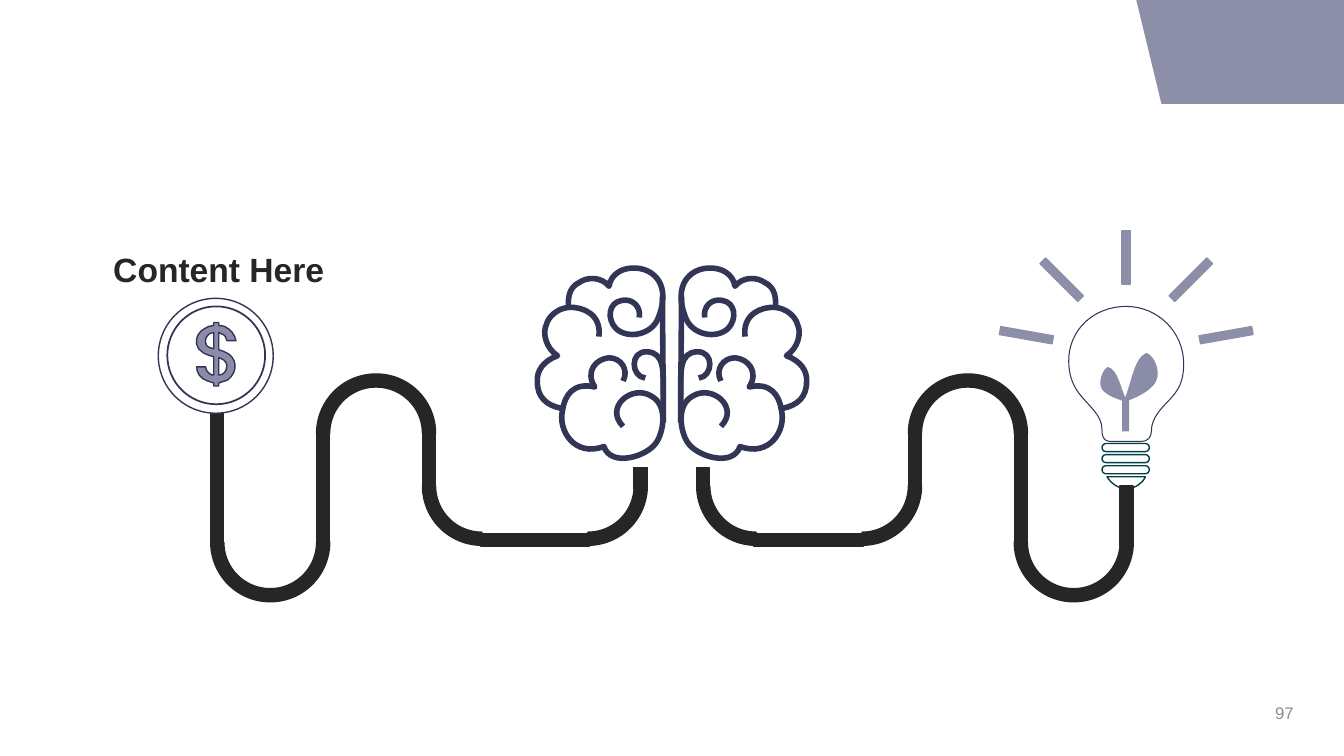
from dataclasses import dataclass

from lxml.etree import SubElement
from pptx import Presentation
from pptx.dml.color import RGBColor
from pptx.enum.shapes import MSO_CONNECTOR, MSO_SHAPE
from pptx.enum.text import MSO_ANCHOR, PP_ALIGN
from pptx.oxml.ns import qn
from pptx.util import Inches, Pt

NAVY, INK, TEAL, WHITE = "323556", "252625", "004149", "FFFFFF"
LAVENDER, RAY, LEAF, GRAY = "8D8EA8", "8D8EA7", "8B8DA8", "8E8E8E"
SLIDE_WIDTH = 13.33
BULB_AXIS = 11.17
CURVE_STEPS = 40
CABLE = 0.13
BEND = 1.18


@dataclass(frozen=True)
class Paint:
    fill: str | None = None
    line: str | None = None
    weight: float = 1


@dataclass(frozen=True)
class Box:
    left: float
    top: float
    width: float
    height: float

    def mirrored(self) -> "Box":
        return Box(SLIDE_WIDTH - self.left - self.width, self.top, self.width, self.height)


@dataclass(frozen=True)
class Bend:
    left: float
    top: float
    start: int
    end: int

    def mirrored(self) -> "Bend":
        return Bend(SLIDE_WIDTH - self.left - BEND, self.top,
                    (180 - self.end) % 360, (180 - self.start) % 360)


@dataclass(frozen=True)
class Label:
    text: str
    box: Box
    size: int
    color: str
    bold: bool
    align: PP_ALIGN
    anchor: MSO_ANCHOR


CORNER = "M 13.33 0 L 13.33 1.03 L 11.52 1.03 L 11.27 0 Z"
BRAIN_FOLDS = [
    "M 6.99 3.15 C 6.97 3.04 7.06 2.96 7.16 2.98 C 7.3 3 7.31 3.17 7.22 3.26 "
    "C 7.1 3.37 6.86 3.32 6.8 3.15 C 6.67 2.82 6.85 2.67 7.02 2.66 C 7.16 2.65 7.27 2.72 7.29 2.84 "
    "C 7.37 2.74 7.51 2.75 7.58 2.8 C 7.69 2.85 7.7 2.96 7.69 3.06",
    "M 7.39 3.34 C 7.36 3.12 7.55 3.04 7.69 3.05 C 7.8 3.06 7.89 3.14 7.91 3.22 "
    "C 7.95 3.3 7.92 3.45 7.8 3.53 C 7.94 3.58 8.01 3.68 8 3.79 C 8 3.94 7.91 4.02 7.77 4.05",
    "M 7.15 3.78 C 7.09 3.67 7.17 3.55 7.29 3.55 C 7.42 3.56 7.53 3.69 7.43 3.84 "
    "C 7.64 3.79 7.73 3.92 7.75 4.07 C 7.8 4.27 7.63 4.54 7.34 4.43 C 7.27 4.64 6.91 4.53 6.82 4.39 "
    "C 6.75 4.29 6.7 4.02 6.87 3.93 C 7.06 3.81 7.34 4.04 7.15 4.23",
    "M 6.75 3.92 C 6.75 3.68 6.74 3.5 6.91 3.49 C 7.09 3.48 7.07 3.74 6.93 3.75",
]
BULB_TIP = "M 10.98 4.73 L 11.36 4.73 C 11.33 4.8 11.26 4.84 11.18 4.85 C 11.1 4.85 11.02 4.8 10.98 4.73 Z"
BULB_GLASS = (
    "M 11.17 3.04 C 11.48 3.04 11.74 3.29 11.74 3.61 C 11.74 3.85 11.64 3.92 11.53 4.04 "
    "C 11.47 4.11 11.42 4.18 11.42 4.28 C 11.42 4.34 11.38 4.38 11.32 4.38 L 11.01 4.38 "
    "C 10.94 4.37 10.93 4.33 10.93 4.26 C 10.93 4.19 10.9 4.13 10.84 4.06 "
    "C 10.75 3.95 10.6 3.85 10.6 3.58 C 10.6 3.27 10.85 3.04 11.17 3.04 Z"
)
LEAVES = [
    "M 11.37 3.5 C 11.24 3.56 11.23 3.79 11.14 3.99 C 11.33 3.93 11.45 3.84 11.47 3.77 "
    "C 11.51 3.68 11.45 3.53 11.37 3.5 Z",
    "M 10.99 3.64 C 11.09 3.67 11.11 3.84 11.18 3.99 C 11.04 3.95 10.94 3.9 10.92 3.84 "
    "C 10.9 3.78 10.93 3.67 10.99 3.64 Z",
]
DOLLAR = (
    "M 2.12 3.46 L 2.12 3.3 C 2.1 3.3 2.09 3.31 2.08 3.31 C 2.05 3.33 2.03 3.37 2.04 3.4 "
    "C 2.04 3.44 2.08 3.45 2.12 3.46 Z M 2.17 3.72 C 2.18 3.72 2.19 3.72 2.21 3.71 "
    "C 2.24 3.69 2.25 3.66 2.25 3.62 C 2.24 3.58 2.21 3.56 2.17 3.55 Z "
    "M 2.17 3.83 L 2.12 3.83 L 2.12 3.8 C 2.1 3.79 2.08 3.79 2.06 3.78 "
    "C 1.99 3.76 1.95 3.7 1.95 3.64 L 2.04 3.64 C 2.04 3.67 2.06 3.7 2.1 3.72 "
    "C 2.1 3.72 2.11 3.72 2.12 3.72 L 2.12 3.54 C 2.05 3.52 1.97 3.5 1.95 3.41 "
    "C 1.94 3.35 1.97 3.29 2.03 3.26 C 2.06 3.24 2.09 3.23 2.12 3.23 L 2.12 3.2 "
    "L 2.17 3.2 L 2.17 3.23 C 2.19 3.23 2.21 3.23 2.23 3.24 C 2.29 3.27 2.33 3.32 2.34 3.38 "
    "L 2.25 3.38 C 2.25 3.35 2.23 3.32 2.19 3.31 C 2.18 3.3 2.18 3.3 2.17 3.3 L 2.17 3.47 "
    "C 2.23 3.49 2.31 3.51 2.33 3.61 C 2.34 3.67 2.31 3.73 2.26 3.77 C 2.23 3.78 2.2 3.79 2.17 3.8 Z"
)
BARS = [Box(3.14, 4.82, CABLE, 0.56), Box(4.19, 4.26, CABLE, 0.59), Box(3.14, 4.29, CABLE, 0.56),
        Box(4.77, 5.29, 1.08, CABLE), Box(6.29, 4.64, CABLE, 0.21)]
BENDS = [Bend(2.09, 4.79, 0, 180), Bend(3.14, 3.71, 180, 0),
         Bend(4.19, 4.23, 90, 180), Bend(5.24, 4.23, 0, 90)]
COIN_LEAD = Box(2.09, 4.08, CABLE, 1.34)
BULB_LEAD = Box(11.11, 4.82, CABLE, 0.59)
LABELS = [
    Label("97", Box(9.93, 6.95, 3, 0.24), 12, GRAY, False, PP_ALIGN.RIGHT, MSO_ANCHOR.MIDDLE),
    Label("Content Here", Box(0.87, 2.42, 2.6, 0.44), 24, INK, True, PP_ALIGN.CENTER, MSO_ANCHOR.TOP),
]


def rgb(value: str) -> RGBColor:
    return RGBColor.from_string(value)


def apply_paint(shape, paint: Paint) -> None:
    shape.shadow.inherit = False
    for format_part, color in ((shape.fill, paint.fill), (shape.line.fill, paint.line)):
        if color:
            format_part.solid()
            format_part.fore_color.rgb = rgb(color)
        else:
            format_part.background()
    if paint.line:
        shape.line.width = Pt(paint.weight)


def draw_preset(slide, preset: MSO_SHAPE, box: Box, paint: Paint):
    shape = slide.shapes.add_shape(preset, Inches(box.left), Inches(box.top),
                                   Inches(box.width), Inches(box.height))
    apply_paint(shape, paint)
    return shape


def curve_point(controls: list, t: float) -> tuple[int, int]:
    weights = ((1 - t) ** 3, 3 * t * (1 - t) ** 2, 3 * t * t * (1 - t), t ** 3)
    x, y = (round(sum(w * point[axis] for w, point in zip(weights, controls))) for axis in (0, 1))
    return x, y


def bend_segments(shape, curve_starts: list[int], reached: list) -> None:
    geometry = next(shape._element.iter(qn("a:path")))
    segments = geometry.findall(qn("a:lnTo"))
    for start in curve_starts:
        first, *others = segments[start:start + 3]
        first.tag = qn("a:cubicBezTo")
        for segment in others:
            first.append(segment[0])
            geometry.remove(segment)
    (left, right), (top, bottom) = ((min(values), max(values)) for values in zip(*reached))
    shift_x, shift_y = left - shape.left, top - shape.top
    for point in geometry.iter(qn("a:pt")):
        point.set("x", str(int(point.get("x")) - shift_x))
        point.set("y", str(int(point.get("y")) - shift_y))
    shape.left, shape.top, shape.width, shape.height = left, top, right - left, bottom - top
    geometry.set("w", str(right - left))
    geometry.set("h", str(bottom - top))


def draw_outline(slide, outline: str, paint: Paint, mirror: bool = False) -> None:
    tokens = iter(outline.split())
    builder = None
    curve_starts, reached = [], []
    segment_count = 0
    for command in tokens:
        if command == "Z":
            builder.add_line_segments([], close=True)
            continue
        pairs = [(float(next(tokens)), float(next(tokens))) for _ in range(3 if command == "C" else 1)]
        points = [(Inches(SLIDE_WIDTH - x if mirror else x), Inches(y)) for x, y in pairs]
        if command == "M":
            if builder is None:
                builder = slide.shapes.build_freeform(*points[0])
            else:
                builder.move_to(*points[0])
        else:
            builder.add_line_segments(points, close=False)
            if command == "C":
                controls = [reached[-1], *points]
                reached += [curve_point(controls, step / CURVE_STEPS) for step in range(CURVE_STEPS)]
                curve_starts.append(segment_count)
            segment_count += len(points)
        reached.append(points[-1])
    shape = builder.convert_to_shape()
    bend_segments(shape, curve_starts, reached)
    apply_paint(shape, paint)


def draw_brain_half(slide, mirror: bool) -> None:
    for fold in BRAIN_FOLDS:
        draw_outline(slide, fold, Paint(line=NAVY, weight=4), mirror)
    top_x, bottom_x = (Inches(SLIDE_WIDTH - x if mirror else x) for x in (6.76, 6.75))
    divider = slide.shapes.add_connector(MSO_CONNECTOR.STRAIGHT, top_x, Inches(2.94), bottom_x, Inches(4.19))
    divider.line.color.rgb = rgb(NAVY)
    divider.line.width = Pt(4)
    SubElement(divider._element.spPr, qn("a:effectLst"))


def draw_bulb(slide) -> None:
    for index in range(3):
        ring = draw_preset(slide, MSO_SHAPE.ROUNDED_RECTANGLE,
                           Box(10.93, 4.4 + 0.11 * index, 0.47, 0.08), Paint(WHITE, TEAL))
        ring.adjustments[0] = 0.5
    draw_outline(slide, BULB_TIP, Paint(WHITE, TEAL))
    draw_outline(slide, BULB_GLASS, Paint(WHITE, NAVY, 0.75))
    for offset, top, angle in ((0, 2.29, 0), (0.64, 2.51, 45), (0.99, 3.06, 80)):
        for side in (-1, 1) if offset else (1,):
            ray = draw_preset(slide, MSO_SHAPE.RECTANGLE,
                              Box(BULB_AXIS + side * offset - 0.04, top, 0.08, 0.53), Paint(RAY, RAY))
            ray.rotation = side * angle % 360
    for leaf in LEAVES:
        draw_outline(slide, leaf, Paint(LEAF))
    draw_preset(slide, MSO_SHAPE.RECTANGLE, Box(11.13, 3.96, 0.07, 0.32), Paint(LEAF))


def draw_cable(slide, lead: Box, mirror: bool) -> None:
    for bar in [lead, *(bar.mirrored() if mirror else bar for bar in BARS)]:
        draw_preset(slide, MSO_SHAPE.RECTANGLE, bar, Paint(INK, INK))
    for bend in (bend.mirrored() if mirror else bend for bend in BENDS):
        arc = draw_preset(slide, MSO_SHAPE.BLOCK_ARC, Box(bend.left, bend.top, BEND, BEND), Paint(INK, INK))
        for index, value in enumerate((bend.start * 0.6, bend.end * 0.6, 0.11)):
            arc.adjustments[index] = value


def draw_coin(slide) -> None:
    draw_preset(slide, MSO_SHAPE.OVAL, Box(1.57, 2.96, 1.14, 1.14), Paint(WHITE, NAVY))
    draw_preset(slide, MSO_SHAPE.OVAL, Box(1.66, 3.04, 0.97, 0.97), Paint(WHITE, NAVY, 1.25))
    draw_outline(slide, DOLLAR, Paint(LEAF, NAVY))


def draw_label(slide, label: Label) -> None:
    box = label.box
    frame = slide.shapes.add_textbox(Inches(box.left), Inches(box.top),
                                     Inches(box.width), Inches(box.height)).text_frame
    frame.word_wrap = True
    frame.vertical_anchor = label.anchor
    paragraph = frame.paragraphs[0]
    paragraph.alignment = label.align
    run = paragraph.add_run()
    run.text = label.text
    run.font.name = "Arial"
    run.font.size = Pt(label.size)
    run.font.bold = label.bold
    run.font.color.rgb = rgb(label.color)


def main() -> None:
    presentation = Presentation()
    presentation.slide_width, presentation.slide_height = Inches(SLIDE_WIDTH), Inches(7.5)
    slide = presentation.slides.add_slide(presentation.slide_layouts[6])
    draw_outline(slide, CORNER, Paint(LAVENDER))
    for label in LABELS:
        draw_label(slide, label)
    for mirror in (False, True):
        draw_brain_half(slide, mirror)
    draw_bulb(slide)
    draw_cable(slide, BULB_LEAD, True)
    draw_cable(slide, COIN_LEAD, False)
    draw_coin(slide)
    presentation.save("out.pptx")


if __name__ == "__main__":
    main()
